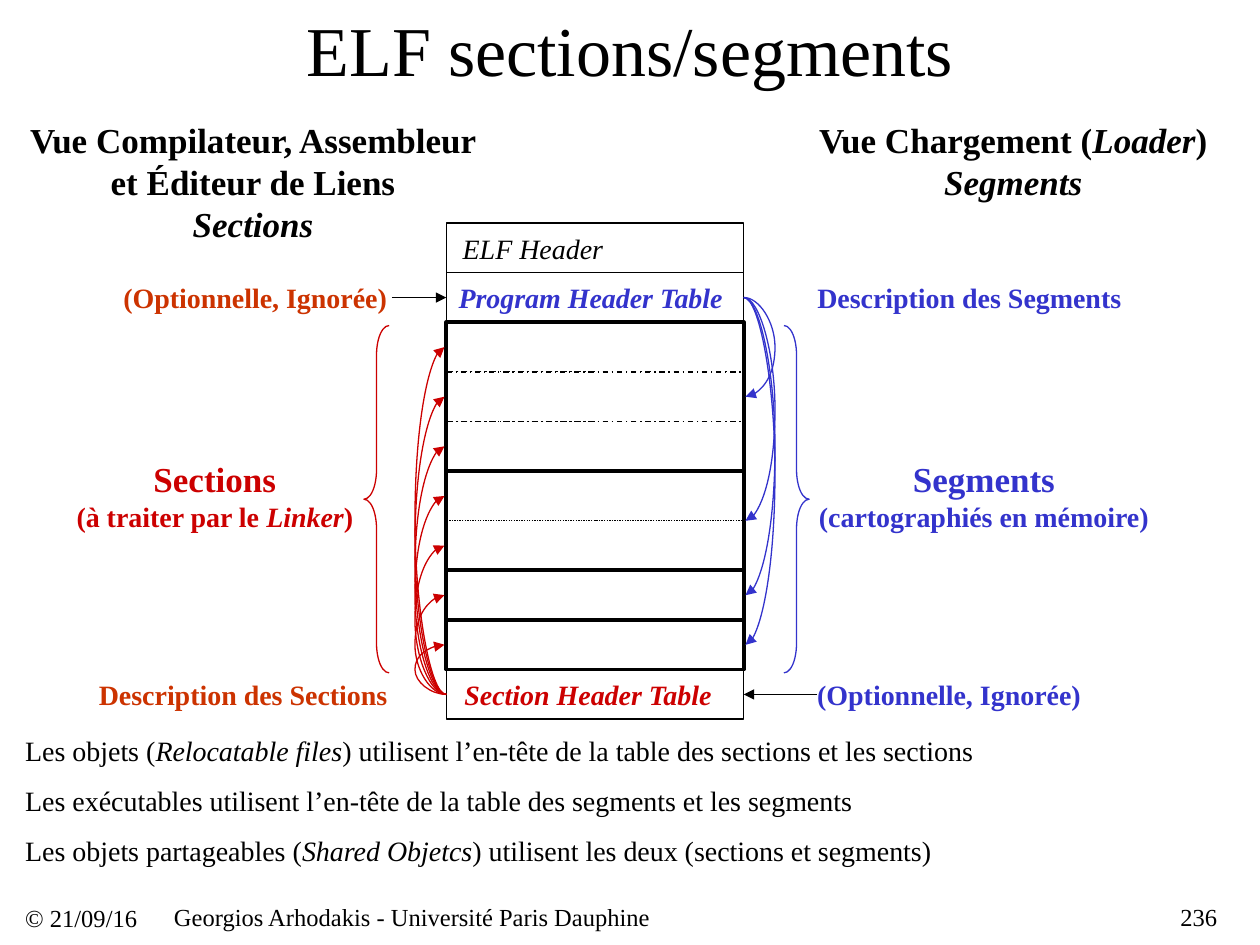
"""Build the slide comparing the section and segment views of an ELF file."""
import lxml.etree
import pptx
import pptx.dml.color
import pptx.enum.dml
import pptx.enum.shapes
import pptx.enum.text
import pptx.oxml.ns
import pptx.util

Pt = pptx.util.Pt
qn = pptx.oxml.ns.qn
Align = pptx.enum.text.PP_ALIGN
Dash = pptx.enum.dml.MSO_LINE
Connector = pptx.enum.shapes.MSO_CONNECTOR
Preset = pptx.enum.shapes.MSO_SHAPE

COLORS = {"black": "000000", "blue": "3333CC", "red": "CC0000", "orange": "CC3300"}
ROW_LEFT, ROW_TOP, ROW_WIDTH, ROW_HEIGHT = 255, 127.5, 170, 28.35
ROW_RIGHT = ROW_LEFT + ROW_WIDTH
FRAME = {"word_wrap": True, "vertical_anchor": pptx.enum.text.MSO_ANCHOR.MIDDLE,
         "margin_left": 0, "margin_top": 0, "margin_right": 0, "margin_bottom": 0}


def write_text(shape, box, lines, color, align, bold=False, italic=False):
    """Place a shape and fill it with (size, text) lines; asterisks toggle italics."""
    for name, value in zip(("left", "top", "width", "height"), box):
        setattr(shape, name, Pt(value))
    frame = shape.text_frame
    for name, value in FRAME.items():
        setattr(frame, name, value)
    for index, (size, text) in enumerate(lines):
        paragraph = frame.add_paragraph() if index else frame.paragraphs[0]
        paragraph.alignment = align
        for part, words in enumerate(text.split("*")):
            if words:
                run = paragraph.add_run()
                run.text = words
                values = {"name": "Times New Roman", "size": Pt(size), "bold": bold,
                          "italic": italic or part % 2 == 1}
                for name, value in values.items():
                    setattr(run.font, name, value)
                run.font.color.rgb = pptx.dml.color.RGBColor.from_string(COLORS[color])


def style_line(shape, color, width=0.75, arrow=False):
    """Set the outline of a shape or connector, with an optional end arrow."""
    shape.line.color.rgb = pptx.dml.color.RGBColor.from_string(COLORS[color])
    shape.line.width = Pt(width)
    if arrow:
        outline = shape.line._get_or_add_ln()
        lxml.etree.SubElement(outline, qn("a:tailEnd"), type="triangle")
        lxml.etree.SubElement(shape._element.spPr, qn("a:effectLst"))
    else:
        shape.fill.background()
        shape.shadow.inherit = False


presentation = pptx.Presentation()
presentation.slide_width, presentation.slide_height = Pt(720), Pt(540)
slide = presentation.slides.add_slide(presentation.slide_layouts[5])
shapes = slide.shapes
write_text(shapes.title, (54, 0, 612, 55.5), [(40, "ELF sections/segments")], "black", Align.CENTER)

row_styles = [
    (0, 1, 0.75, None), (1, 1, 0.75, None),
    (2, 1, 0.75, Dash.DASH_DOT), (3, 1, 0.75, Dash.DASH_DOT), (4, 1, 0.75, Dash.DASH_DOT),
    (5, 1, 0.75, Dash.ROUND_DOT), (6, 1, 0.75, Dash.ROUND_DOT),
    (9, 1, 0.75, None),
    (2, 3, 2.25, None), (5, 2, 2.25, None), (7, 1, 2.25, None), (8, 1, 2.25, None),
]
rows = {}
for first, count, width, dash in row_styles:
    row = shapes.add_shape(Preset.RECTANGLE, Pt(ROW_LEFT), Pt(ROW_TOP + first * ROW_HEIGHT),
                           Pt(ROW_WIDTH), Pt(count * ROW_HEIGHT))
    style_line(row, "black", width)
    if dash:
        row.line.dash_style = dash
    rows[first] = row

for left, color, flipped in ((448, "blue", False), (208, "red", True)):
    brace = shapes.add_shape(Preset.RIGHT_BRACE, Pt(left), Pt(186), Pt(14.4), Pt(198.5))
    brace.adjustments[0] = 1.17
    style_line(brace, color)
    if flipped:
        brace._element.spPr.find(qn("a:xfrm")).set("flipH", "1")

curve_groups = [
    (ROW_RIGHT, 1, 1, "blue", (3, 5.5, 7, 8)),
    (ROW_LEFT, -1, 9, "red", (8, 7, 6, 5, 4, 3, 2)),
]
for edge, direction, source, color, targets in curve_groups:
    for target in targets:
        start, end = (ROW_TOP + (position + 0.5) * ROW_HEIGHT for position in (source, target))
        curve = shapes.add_connector(Connector.CURVE, Pt(edge), Pt(start), Pt(edge + direction), Pt(end))
        style_line(curve, color, arrow=True)
        guides = curve._element.spPr.find(qn("a:prstGeom")).get_or_add_avLst()
        lxml.etree.SubElement(guides, qn("a:gd"), name="adj1", fmla="val 1800000")

for start, edge, index, site in ((224, ROW_LEFT, 1, 1), (467, ROW_RIGHT, 9, 3)):
    middle = ROW_TOP + (index + 0.5) * ROW_HEIGHT
    arrow = shapes.add_connector(Connector.STRAIGHT, Pt(start), Pt(middle), Pt(edge), Pt(middle))
    arrow.end_connect(rows[index], site)
    style_line(arrow, "black", arrow=True)

bold, italic, both = {"bold": True}, {"italic": True}, {"bold": True, "italic": True}
texts = [
    ((14.4, 67.5, 260.5, 72), [(20, "Vue Compilateur, Assembleur et Éditeur de Liens"),
                               (20, "*Sections*")], "black", Align.CENTER, bold),
    ((467, 67.5, 224, 48), [(20, "Vue Chargement (*Loader*)"), (20, "*Segments*")],
     "black", Align.CENTER, bold),
    ((70.5, 160, 153, 20), [(16, "(Optionnelle, Ignorée)")], "orange", Align.LEFT, bold),
    ((467, 160, 179, 20), [(16, "Description des Segments")], "blue", Align.LEFT, bold),
    ((56.5, 386.5, 167.5, 20), [(16, "Description des Sections")], "orange", Align.LEFT, bold),
    ((467, 386.5, 153, 20), [(16, "(Optionnelle, Ignorée)")], "blue", Align.LEFT, bold),
    ((262, 132, 85, 20), [(16, "ELF Header")], "black", Align.CENTER, italic),
    ((262, 160, 156, 20), [(16, "Program Header Table")], "blue", Align.LEFT, both),
    ((262, 386.5, 148, 20), [(16, "Section Header Table")], "red", Align.CENTER, both),
    ((42, 262, 161.5, 42.5), [(20, "Sections"), (16, "(à traiter par le *Linker*)")],
     "red", Align.CENTER, bold),
    ((467, 262, 190.5, 42.5), [(20, "Segments"), (16, "(cartographiés en mémoire)")],
     "blue", Align.CENTER, bold),
    ((14.4, 507.6, 78, 34), [(14, "© 21/09/16")], "black", Align.LEFT, {}),
    ((99.4, 515.5, 492, 17), [(14, "Georgios Arhodakis - Université Paris Dauphine")],
     "black", Align.LEFT, {}),
    ((623.5, 515.5, 72, 17), [(14, "236")], "black", Align.RIGHT, {}),
]
notes = [
    "Les objets (*Relocatable files*) utilisent l’en-tête de la table des sections et les sections",
    "Les exécutables utilisent l’en-tête de la table des segments et les segments",
    "Les objets partageables (*Shared Objetcs*) utilisent les deux (sections et segments)",
]
for index, note in enumerate(notes):
    texts.append(((14.4, 419 + index * ROW_HEIGHT, 666, 20), [(16, note)], "black", Align.LEFT, {}))
for box, lines, color, align, style in texts:
    write_text(shapes.add_textbox(0, 0, 0, 0), box, lines, color, align, **style)

presentation.save("out.pptx")
